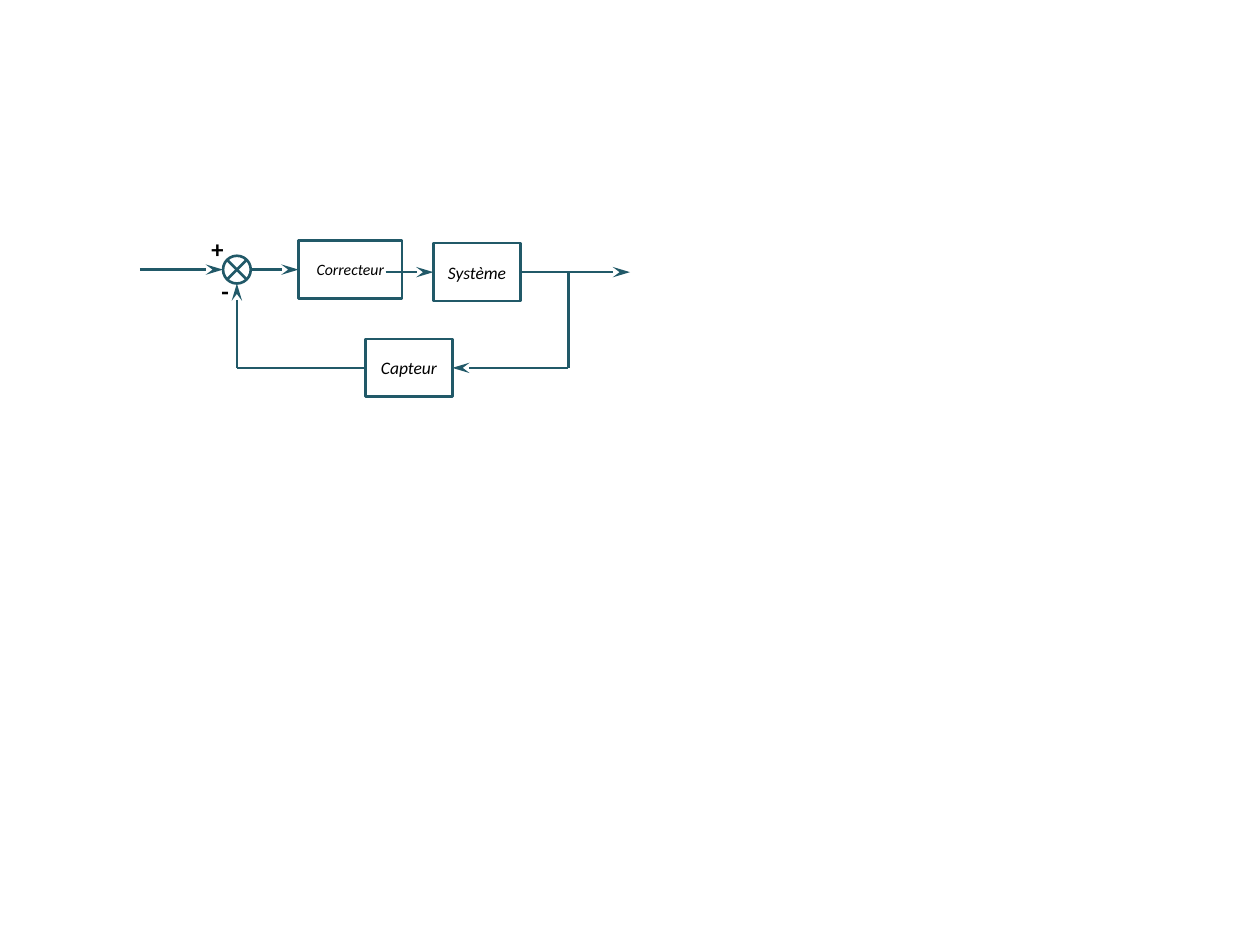
from lxml.etree import SubElement
from pptx import Presentation
from pptx.dml.color import RGBColor
from pptx.enum.shapes import MSO_CONNECTOR as Connector, MSO_SHAPE as Shape
from pptx.enum.text import MSO_ANCHOR as Anchor, MSO_AUTO_SIZE as AutoSize, PP_ALIGN as Align
from pptx.oxml.ns import qn
from pptx.util import Inches, Pt

TEAL = RGBColor(0x21, 0x59, 0x68)
WHITE = RGBColor(0xFF, 0xFF, 0xFF)
BLACK = RGBColor(0x00, 0x00, 0x00)

BLOCK_HEIGHT = 0.46
FORWARD_Y = 2.14
OUTPUT_Y = 2.16
FEEDBACK_Y = 2.92
SUM_X = 1.88
SUM_SIZE = 0.22
BRANCH_X = 4.51


class LoopDiagram:
    font_name = "Calibri"
    line_width = Pt(1.5)

    def __init__(self, slide):
        self.shapes = slide.shapes

    def outlined(self, kind, left, top, width, height):
        shape = self.shapes.add_shape(
            kind, Inches(left), Inches(top), Inches(width), Inches(height))
        shape.shadow.inherit = False
        shape.fill.solid()
        shape.fill.fore_color.rgb = WHITE
        shape.line.color.rgb = TEAL
        shape.line.width = self.line_width
        return shape

    def add_text(self, paragraph, text, size, bold=False, italic=False):
        run = paragraph.add_run()
        run.text = text
        font = run.font
        font.name = self.font_name
        font.size = Pt(size)
        font.bold = bold
        font.italic = italic
        font.color.rgb = BLACK

    def block(self, label, left, center_y, width=0.69, size=10):
        top = center_y - BLOCK_HEIGHT / 2
        frame = self.outlined(Shape.RECTANGLE, left, top, width, BLOCK_HEIGHT).text_frame
        frame.word_wrap = True
        frame.vertical_anchor = Anchor.MIDDLE
        paragraph = frame.paragraphs[0]
        paragraph.alignment = Align.CENTER
        self.add_text(paragraph, label, size, italic=True)

    def summing_junction(self, center_x, center_y):
        self.outlined(Shape.FLOWCHART_SUMMING_JUNCTION, center_x - SUM_SIZE / 2,
                      center_y - SUM_SIZE / 2, SUM_SIZE, SUM_SIZE)

    def sign(self, text, left, top, width):
        box = self.shapes.add_textbox(Inches(left), Inches(top), Inches(width), Inches(0.34))
        frame = box.text_frame
        frame.word_wrap = False
        frame.auto_size = AutoSize.SHAPE_TO_FIT_TEXT
        self.add_text(frame.paragraphs[0], text, 14, bold=True)

    def wire(self, start, end, arrow=True):
        wire = self.shapes.add_connector(
            Connector.STRAIGHT, *(Inches(value) for value in (*start, *end)))
        wire.line.color.rgb = TEAL
        wire.line.width = self.line_width
        properties = wire._element.spPr
        if arrow:
            SubElement(properties.find(qn("a:ln")), qn("a:tailEnd"),
                       type="stealth", w="med", len="lg")
        SubElement(properties, qn("a:effectLst"))


def main():
    deck = Presentation()
    deck.slide_width = Inches(10)
    deck.slide_height = Inches(7.5)
    diagram = LoopDiagram(deck.slides.add_slide(deck.slide_layouts[6]))

    diagram.block("Correcteur", 2.37, FORWARD_Y, width=0.82, size=9)
    diagram.summing_junction(SUM_X, FORWARD_Y)
    diagram.wire((2, FORWARD_Y), (2.37, FORWARD_Y))
    diagram.wire((1.11, FORWARD_Y), (1.77, FORWARD_Y))
    diagram.sign("+", 1.58, 1.81, 0.3)
    diagram.wire((SUM_X, FEEDBACK_Y), (SUM_X, FORWARD_Y + SUM_SIZE / 2))
    diagram.sign("-", 1.66, 2.14, 0.26)

    diagram.wire((3.06, OUTPUT_Y), (3.44, OUTPUT_Y))
    diagram.block("Système", 3.44, OUTPUT_Y)
    diagram.block("Capteur", 2.9, FEEDBACK_Y)
    diagram.wire((4.12, OUTPUT_Y), (5, OUTPUT_Y))
    diagram.wire((BRANCH_X, FEEDBACK_Y), (3.59, FEEDBACK_Y))
    diagram.wire((BRANCH_X, OUTPUT_Y), (BRANCH_X, FEEDBACK_Y), arrow=False)
    diagram.wire((2.9, FEEDBACK_Y), (SUM_X, FEEDBACK_Y), arrow=False)

    deck.save("out.pptx")


if __name__ == "__main__":
    main()
